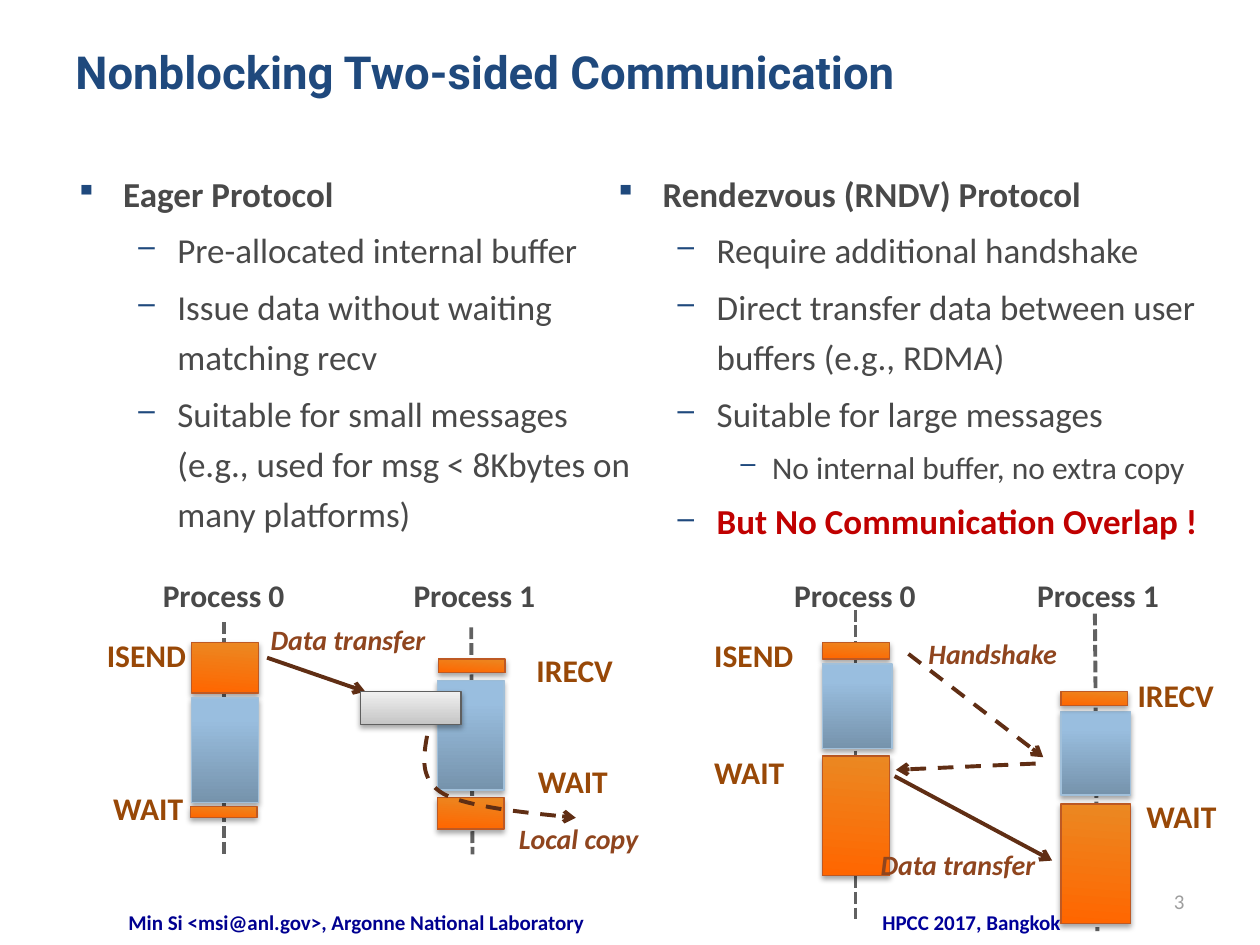
from lxml.etree import SubElement
from pptx import Presentation
from pptx.dml.color import RGBColor
from pptx.enum.dml import MSO_LINE
from pptx.enum.shapes import MSO_CONNECTOR, MSO_SHAPE
from pptx.enum.text import PP_ALIGN
from pptx.oxml.ns import qn
from pptx.util import Pt

PX = 9144
NAVY = RGBColor(0x1F, 0x49, 0x7D)
GRAY_TEXT = RGBColor(0x49, 0x49, 0x49)
RED = RGBColor(0xC0, 0x00, 0x00)
BROWN = RGBColor(0x98, 0x48, 0x07)
RUST = RGBColor(0x8F, 0x45, 0x1E)
ARROW_BROWN = RGBColor(0x60, 0x2E, 0x14)
LIFELINE_GRAY = RGBColor(0x61, 0x61, 0x61)
FOOTER_BLUE = RGBColor(0x00, 0x00, 0x90)
VENUE_BLUE = RGBColor(0x00, 0x00, 0x99)
PALE_GRAY = RGBColor(0x9E, 0x9E, 0x9E)

TITLE = {"name": "Roboto", "size": Pt(26), "bold": True}
HEADING = {"name": "Calibri", "size": Pt(20), "bold": True}
POINT = {"name": "Calibri", "size": Pt(20), "bold": False}
DETAIL = {"name": "Calibri", "size": Pt(18), "bold": False}
LABEL = {"name": "Calibri", "size": Pt(18), "bold": True}
NOTE = {"name": "Calibri", "size": Pt(16), "bold": True, "italic": True}
FOOTER = {"name": "Calibri", "size": Pt(12), "bold": True}
NUMBER = {"name": "Calibri", "size": Pt(12), "bold": False}

LEFT, CENTER, RIGHT = PP_ALIGN.LEFT, PP_ALIGN.CENTER, PP_ALIGN.RIGHT
DASH, SHORT_DASH = MSO_LINE.DASH, MSO_LINE.SQUARE_DOT


def add_run(paragraph, text, font_format, color):
    run = paragraph.add_run()
    run.text = text
    for name, value in font_format.items():
        setattr(run.font, name, value)
    run.font.color.rgb = color


def style_line(shape, color, dash, arrow):
    shape.line.color.rgb = color
    shape.line.width = Pt(2.25)
    if dash:
        shape.line.dash_style = dash
    properties = shape.element.spPr
    if arrow:
        SubElement(properties.find(qn("a:ln")), qn("a:tailEnd"), type="arrow")
    SubElement(properties, qn("a:effectLst"))


presentation = Presentation()
presentation.slide_width = 1000 * PX
presentation.slide_height = 750 * PX
slide = presentation.slides.add_slide(presentation.slide_layouts[6])
shapes = slide.shapes

levels = {
    "heading": ("▪", 38, 38, HEADING, GRAY_TEXT),
    "point": ("–", 81, 31, POINT, GRAY_TEXT),
    "detail": ("–", 125, 25, DETAIL, GRAY_TEXT),
    "warning": ("–", 81, 31, HEADING, RED),
}
columns = [
    (50, 466, [
        ("heading", "Eager Protocol"),
        ("point", "Pre-allocated internal buffer"),
        ("point", "Issue data without waiting matching recv"),
        ("point", "Suitable for small messages (e.g., used for msg < 8Kbytes on many platforms)"),
    ]),
    (478, 491, [
        ("heading", "Rendezvous (RNDV) Protocol"),
        ("point", "Require additional handshake"),
        ("point", "Direct transfer data between user buffers (e.g., RDMA)"),
        ("point", "Suitable for large messages"),
        ("detail", "No internal buffer, no extra copy"),
        ("warning", "But No Communication Overlap !"),
    ]),
]
for x, width, items in columns:
    frame = shapes.add_textbox(x * PX, 125 * PX, width * PX, 558 * PX).text_frame
    frame.word_wrap = True
    for index, (level, text) in enumerate(items):
        bullet, margin, hanging, font_format, color = levels[level]
        paragraph = frame.add_paragraph() if index else frame.paragraphs[0]
        paragraph.line_spacing = 1.2
        paragraph.space_before = Pt(3.5 if index else 0)
        properties = paragraph._p.get_or_add_pPr()
        properties.set("marL", str(margin * PX))
        properties.set("indent", str(-hanging * PX))
        bullet_color = SubElement(properties, qn("a:buClr"))
        SubElement(bullet_color, qn("a:srgbClr"), val=str(NAVY))
        SubElement(properties, qn("a:buSzPct"), val="85000")
        SubElement(properties, qn("a:buChar"), char=bullet)
        add_run(paragraph, text, font_format, color)

lifelines = [
    (374, 498, 375, 678), (178, 494, 178, 678),
    (869, 487, 871, 739), (679, 484, 679, 731),
]
arrows = [
    (212, 522, 290, 549, None), (721, 519, 828, 601, DASH),
    (710, 616, 835, 683, None), (822, 606, 711, 611, DASH),
]
connectors = [(*ends, LIFELINE_GRAY, SHORT_DASH, False) for ends in lifelines]
connectors += [(*ends, ARROW_BROWN, dash, True) for *ends, dash in arrows]
for x1, y1, x2, y2, color, dash, arrow in connectors:
    connector = shapes.add_connector(
        MSO_CONNECTOR.STRAIGHT, x1 * PX, y1 * PX, x2 * PX, y2 * PX)
    style_line(connector, color, dash, arrow)

bar_styles = {
    "call": (("EB8822", "FF6600"), 1, 266, "BE5923"),
    "compute": (("7693AC", "99BEDF"), 0.8, 90, "A1C0DA"),
    "buffer": (("C5C5C5", "F0F0F0"), 1, 90, "5F5F5F"),
}
bars = [
    ("call", 152, 510, 53, 40), ("compute", 152, 554, 53, 83), ("call", 151, 640, 53, 9),
    ("call", 347, 633, 53, 25), ("compute", 347, 540, 53, 87), ("call", 348, 523, 53, 11),
    ("buffer", 286, 549, 80, 26),
    ("call", 653, 510, 53, 13), ("call", 653, 600, 53, 95), ("compute", 653, 527, 55, 67),
    ("call", 842, 638, 55, 95), ("compute", 842, 565, 55, 66), ("call", 842, 549, 53, 11),
]
for style, x, y, width, height in bars:
    colors, last_stop, angle, outline = bar_styles[style]
    bar = shapes.add_shape(MSO_SHAPE.RECTANGLE, x * PX, y * PX, width * PX, height * PX)
    bar.fill.gradient()
    bar.fill.gradient_angle = angle
    for stop, color, position in zip(bar.fill.gradient_stops, colors, (0, last_stop)):
        stop.color.rgb = RGBColor.from_string(color)
        stop.position = position
    bar.line.color.rgb = RGBColor.from_string(outline)
    bar.line.width = Pt(0.75)
    bar.shadow.inherit = False
    shadow = SubElement(
        bar.element.spPr.find(qn("a:effectLst")), qn("a:outerShdw"),
        blurRad=str(Pt(3.1)), dist=str(Pt(1.8)), dir="5400000", rotWithShape="0")
    shadow_color = SubElement(shadow, qn("a:srgbClr"), val="000000")
    SubElement(shadow_color, qn("a:alpha"), val="35000")

curve_points = [(336, 601), (333, 619), (352, 630), (372, 641), (457, 649), (457, 649)]
builder = shapes.build_freeform(339, 584, scale=PX)
builder.add_line_segments(curve_points, close=False)
local_copy = builder.convert_to_shape()
local_copy.fill.background()
segments = local_copy.element.xpath(".//a:lnTo")
outline = segments[0].getparent()
for start in range(0, len(segments), 3):
    curve = SubElement(outline, qn("a:cubicBezTo"))
    for segment in segments[start:start + 3]:
        curve.append(segment[0])
        outline.remove(segment)
style_line(local_copy, ARROW_BROWN, DASH, True)

texts = [
    (50, 30, 900, "Nonblocking Two-sided Communication", TITLE, NAVY, LEFT),
    (83, 717, 400, "Min Si <msi@anl.gov>, Argonne National Laboratory", FOOTER, FOOTER_BLUE, CENTER),
    (575, 717, 392, "HPCC 2017, Bangkok", FOOTER, VENUE_BLUE, CENTER),
    (717, 700, 233, "3", NUMBER, PALE_GRAY, RIGHT),
]
texts += [(x, 452, 139, text, LABEL, GRAY_TEXT, CENTER) for x, text in [
    (108, "Process 0"), (307, "Process 1"), (609, "Process 0"), (802, "Process 1")]]
texts += [(x, y, 84, text, LABEL, BROWN, LEFT) for x, y, text in [
    (75, 500, "ISEND"), (416, 512, "IRECV"), (417, 600, "WAIT"), (80, 621, "WAIT"),
    (557, 500, "ISEND"), (893, 532, "IRECV"), (557, 593, "WAIT"), (900, 628, "WAIT")]]
texts += [(x, y, 145, text, NOTE, RUST, LEFT) for x, y, text in [
    (205, 489, "Data transfer"), (402, 647, "Local copy"),
    (689, 668, "Data transfer"), (727, 500, "Handshake")]]
for x, y, width, text, font_format, color, alignment in texts:
    frame = shapes.add_textbox(x * PX, y * PX, width * PX, 30 * PX).text_frame
    frame.word_wrap = True
    paragraph = frame.paragraphs[0]
    paragraph.alignment = alignment
    add_run(paragraph, text, font_format, color)

presentation.save("out.pptx")
